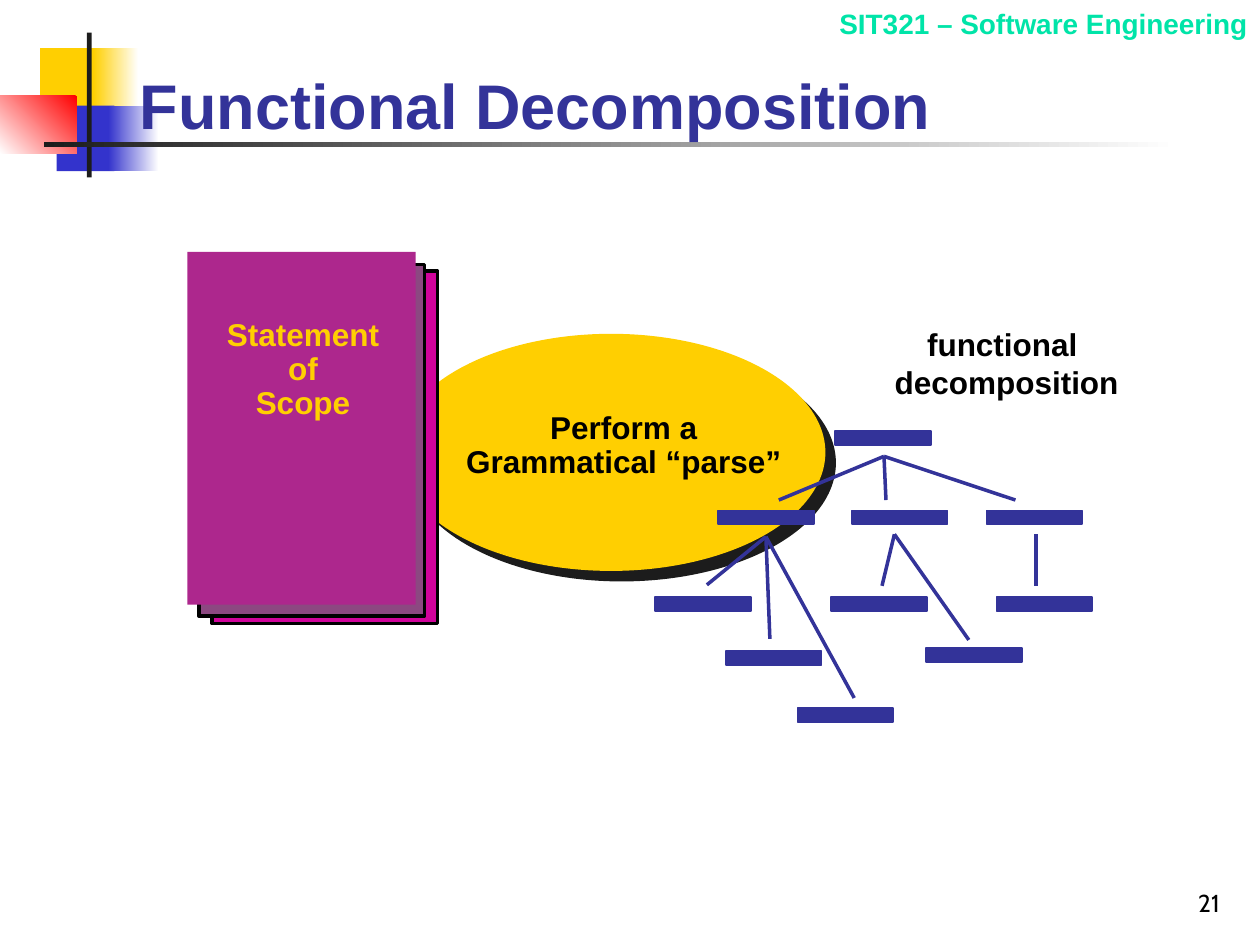
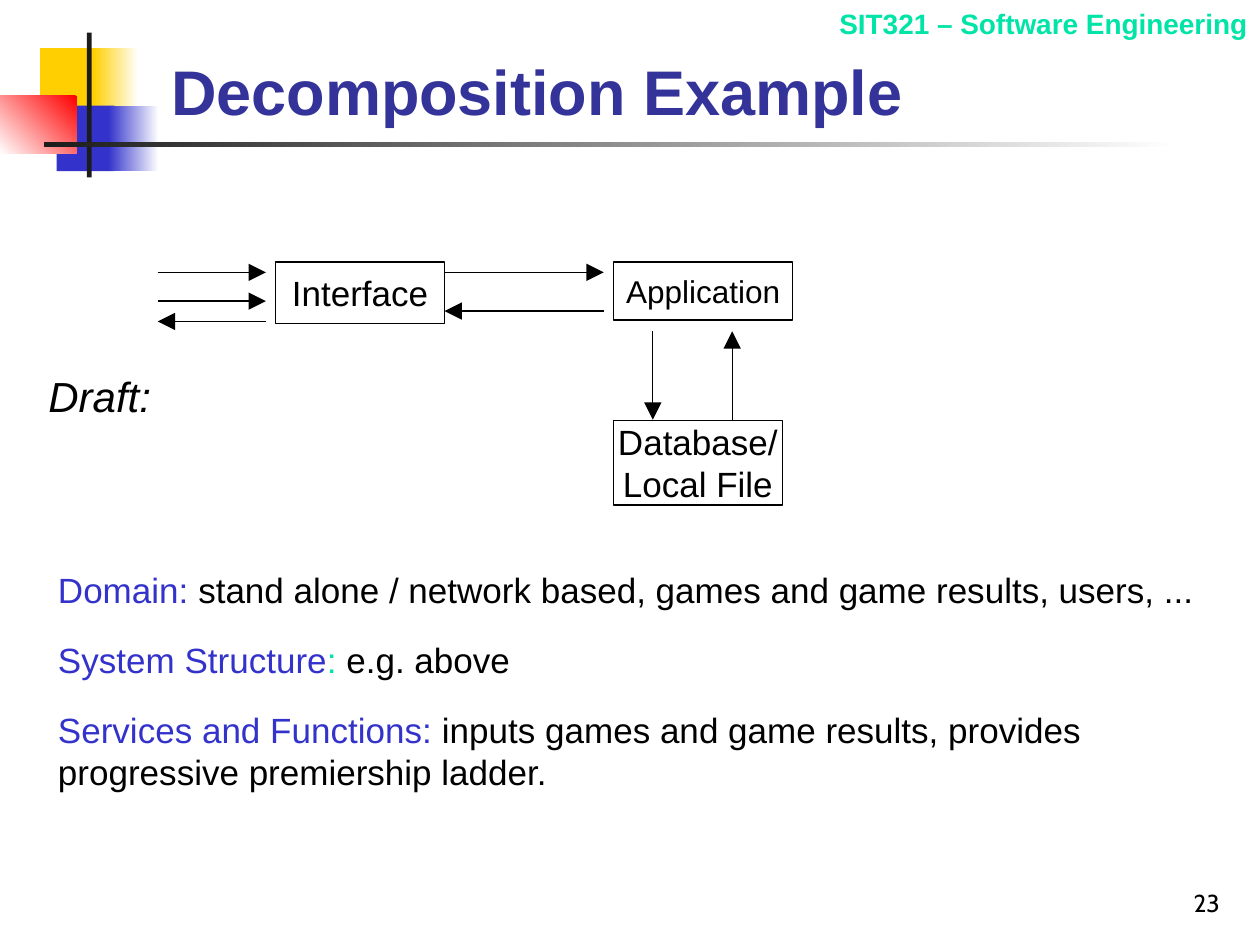
from lxml import etree
from pptx import Presentation, util as u
from pptx.dml.color import RGBColor
from pptx.enum import shapes, text
from pptx.oxml import ns

INK, BLACK, WHITE = "1C1C1C", "000000", "FFFFFF"
YELLOW, BLUE, INDIGO, MINT = "FFCF01", "3333CC", "333399", "00E4A8"
LEFT, CENTER, RIGHT = text.PP_ALIGN.LEFT, text.PP_ALIGN.CENTER, text.PP_ALIGN.RIGHT
TOP, MIDDLE, BOTTOM = text.MSO_ANCHOR.TOP, text.MSO_ANCHOR.MIDDLE, text.MSO_ANCHOR.BOTTOM
RECTANGLE, OVAL = shapes.MSO_SHAPE.RECTANGLE, shapes.MSO_SHAPE.OVAL


def color(value):
    """Turn a hex string into a colour."""
    return RGBColor.from_string(value)


def cm(*lengths):
    """Turn numbers into lengths in centimetres."""
    return [u.Cm(length) for length in lengths]


class Deck:
    """Holds the shared style and the current slide."""

    def __init__(self):
        """Start an empty presentation in 4:3 format."""
        self.presentation = Presentation()
        self.presentation.slide_width, self.presentation.slide_height = cm(25.4, 19.05)
        self.slide = None

    def add_slide(self, number):
        """Add a slide with the ornament, course name and page number."""
        self.slide = self.presentation.slides.add_slide(self.presentation.slide_layouts[6])
        self.shape((0.81, 0.97, 1.22, 1.32), YELLOW)
        self.fade((1.88, 0.97, 0.91, 1.32), WHITE, YELLOW)
        self.shape((1.14, 2.13, 1.17, 1.32), BLUE)
        self.fade((2.18, 2.13, 1.02, 1.32), WHITE, BLUE)
        self.fade((0, 1.93, 1.55, 1.17), "FF0000", WHITE, angle=225)
        self.shape((1.75, 0.66, 0.1, 2.92), INK)
        self.fade((0.89, 2.87, 22.86, 0.1), WHITE, INK)
        self.label((16.59, 0, 8.81, 0.94), ["SIT321 – Software Engineering"],
                   16, MINT, align=RIGHT, bold=True)
        self.label((19.56, 17.35, 5.28, 1.27), [number], 14,
                   align=RIGHT, anchor=BOTTOM, font="Cabin")

    def title(self, box, words, anchor):
        """Add the slide title."""
        self.label(box, [words], 36, INDIGO, anchor=anchor, bold=True)

    def shape(self, box, fill=None, line=None, width=1, kind=RECTANGLE):
        """Add a preset shape with a plain fill and an optional outline."""
        shape = self.slide.shapes.add_shape(kind, *cm(*box))
        shape.shadow.inherit = False
        if fill:
            shape.fill.solid()
            shape.fill.fore_color.rgb = color(fill)
        else:
            shape.fill.background()
        if line:
            shape.line.color.rgb = color(line)
            shape.line.width = u.Pt(width)
        else:
            shape.line.fill.background()
        return shape

    def fade(self, box, start, end, angle=180):
        """Add a rectangle that fades between two colours."""
        fill = self.shape(box).fill
        fill.gradient()
        fill.gradient_angle = angle
        for stop, value in zip(fill.gradient_stops, (start, end)):
            stop.color.rgb = color(value)

    def shadowed_oval(self, box, fill, shadow):
        """Add an ellipse with a hard shadow to the lower right."""
        oval = self.shape(box, fill, kind=OVAL)
        effects = oval._element.spPr.find(ns.qn("a:effectLst"))
        outer = etree.SubElement(effects, ns.qn("a:outerShdw"), blurRad="0",
                                 dist=str(u.Pt(8.5)), dir="2700000", algn="ctr", rotWithShape="0")
        etree.SubElement(outer, ns.qn("a:srgbClr"), val=shadow)

    def line(self, start, end, value=BLACK, width=0.75, arrow=False):
        """Add a straight line, with an arrowhead at its end if wanted."""
        connector = self.slide.shapes.add_connector(
            shapes.MSO_CONNECTOR.STRAIGHT, *cm(*start, *end))
        connector.line.color.rgb = color(value)
        connector.line.width = u.Pt(width)
        properties = connector._element.spPr
        if arrow:
            etree.SubElement(properties.find(ns.qn("a:ln")), ns.qn("a:tailEnd"),
                             type="triangle", w="lg", len="lg")
        etree.SubElement(properties, ns.qn("a:effectLst"))

    def label(self, box, paragraphs, size, value=BLACK, insets=(0.25, 0.13), wrap=True, **style):
        """Add a text box."""
        shape = self.slide.shapes.add_textbox(*cm(*box))
        self.set_text(shape, paragraphs, size, value, insets, wrap, **style)

    def framed(self, box, words, size, inset):
        """Add an outlined box with centred text."""
        shape = self.shape(box, line=BLACK, width=0.75)
        self.set_text(shape, [words], size, BLACK, (inset, inset), align=CENTER, anchor=MIDDLE)

    def set_text(self, shape, paragraphs, size, value, insets, wrap=True, align=LEFT,
                 anchor=TOP, spacing=None, font="Arial", bold=False, italic=False):
        """Fill a shape with paragraphs, each a string or a list of (words, colour) runs."""
        frame = shape.text_frame
        frame.word_wrap, frame.vertical_anchor = wrap, anchor
        frame.margin_left = frame.margin_right = u.Cm(insets[0])
        frame.margin_top = frame.margin_bottom = u.Cm(insets[1])
        for index, content in enumerate(paragraphs):
            paragraph = frame.add_paragraph() if index else frame.paragraphs[0]
            paragraph.alignment = align
            if spacing:
                paragraph.line_spacing = spacing
            paragraph.font.name, paragraph.font.size = font, u.Pt(size)
            paragraph.font.bold, paragraph.font.italic = bold, italic
            if isinstance(content, str):
                paragraph.font.color.rgb = color(value)
                paragraph.add_run().text = content
                continue
            for words, run_color in content:
                run = paragraph.add_run()
                run.text = words
                run.font.color.rgb = color(run_color)


def functional_decomposition(deck):
    """Build the slide that turns a scope statement into a function tree."""
    deck.add_slide("21")
    deck.shadowed_oval((8, 6.73, 8.64, 4.78), YELLOW, INK)
    deck.title((2.57, 1.17, 18.24, 1.88), "Functional Decomposition", MIDDLE)

    deck.shape((4.27, 5.46, 4.55, 7.11), "D1039B", BLACK, 2)
    deck.shape((4.01, 5.33, 4.55, 7.09), "8C4881", BLACK, 2)
    deck.shape((3.78, 5.08, 4.6, 7.11), "AD278D")

    nodes = {8.69: [16.84], 10.29: [14.48, 17.17, 19.89], 12.04: [13.21, 16.76, 20.09],
             13.06: [18.67], 13.13: [14.63], 14.27: [16.08]}
    for top, lefts in nodes.items():
        for left in lefts:
            deck.shape((left, top, 1.93, 0.28), INDIGO, INDIGO)

    branches = {(17.82, 9.2): [(15.7, 10.08), (17.86, 10.08), (20.47, 10.08)],
                (15.44, 10.82): [(14.25, 11.79), (15.52, 12.88), (17.22, 14.07)],
                (18.03, 10.77): [(17.78, 11.81), (19.53, 12.9)],
                (20.88, 10.77): [(20.88, 11.81)]}
    for parent, children in branches.items():
        for child in children:
            deck.line(parent, child, INDIGO, 2)

    deck.label((17.78, 6.43, 5.03, 1.78), ["functional ", "decomposition"], 18,
               wrap=False, align=CENTER, bold=True)
    deck.label((4.32, 6.3, 3.58, 2.31), ["Statement", "of", "Scope"], 18, YELLOW,
               wrap=False, align=CENTER, spacing=0.9, bold=True)
    deck.label((9.07, 8.18, 7.01, 1.63), ["Perform a Grammatical “parse”"], 18,
               align=CENTER, spacing=0.9, bold=True)


def decomposition_example(deck):
    """Build the slide with the draft system structure."""
    deck.add_slide("23")
    deck.title((3.2, 0.58, 21.64, 2.13), "Decomposition Example", BOTTOM)

    deck.framed((5.56, 5.28, 3.4, 1.24), "Interface", 20, 0.2)
    deck.framed((12.37, 5.28, 3.61, 1.17), "Application", 18, 0.2)
    deck.framed((12.37, 8.48, 3.4, 1.7), "Database/Local File", 20, 0)

    flows = [((3.18, 5.49), (5.36, 5.49)), ((3.18, 6.07), (5.36, 6.07)),
             ((5.36, 6.48), (3.18, 6.48)), ((8.96, 5.49), (12.17, 5.49)),
             ((12.17, 6.27), (8.96, 6.27)), ((13.16, 6.68), (13.16, 8.46)),
             ((14.76, 8.46), (14.76, 6.68))]
    for start, end in flows:
        deck.line(start, end, arrow=True)

    deck.label((0.97, 7.47, 2.08, 1.02), ["Draft:"], 24, insets=(0, 0), wrap=False,
               align=CENTER, anchor=MIDDLE, italic=True)
    notes = [
        [("Domain:", BLUE),
         (" stand alone / network based, games and game results, users, ...", BLACK)],
        [("System Structure", BLUE), (":", MINT), (" e.g. above", BLACK)],
        [("Services and Functions:", BLUE),
         (" inputs games and game results, provides progressive premiership ladder.", BLACK)],
    ]
    for index, note in enumerate(notes):
        deck.label((1.17, 11.46 + 1.41 * index, 23.6, 0.84), [note], 20, insets=(0, 0))


def main():
    """Build and save both slides."""
    deck = Deck()
    functional_decomposition(deck)
    decomposition_example(deck)
    deck.presentation.save("out.pptx")


if __name__ == "__main__":
    main()
